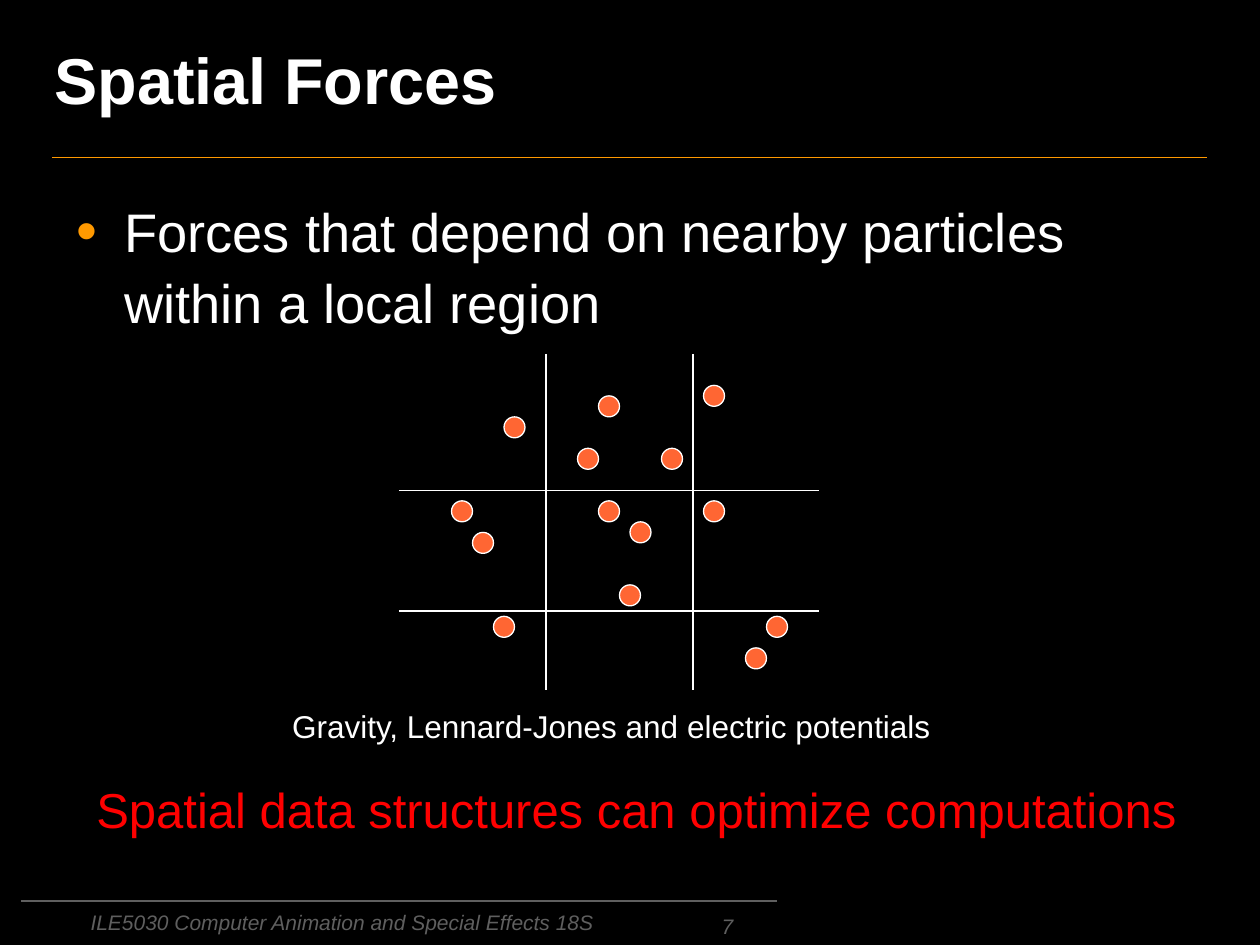
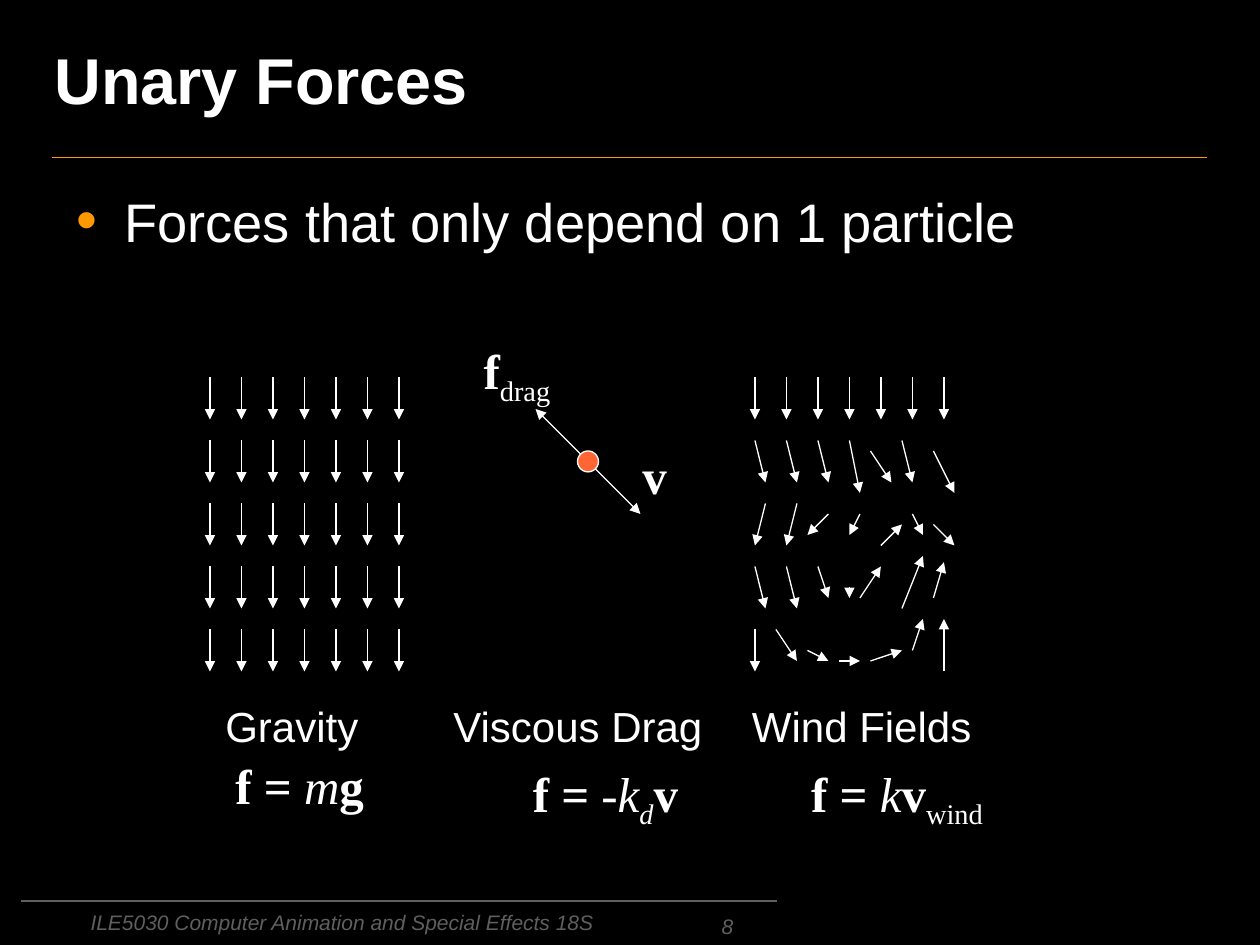
import itertools

import lxml.etree
import pptx
import pptx.dml.color
import pptx.enum.shapes
import pptx.enum.text
import pptx.oxml.ns
import pptx.util

COLORS = {
    "background": "000000",
    "text": "FFFFFF",
    "accent": "FF9900",
    "footer": "5F5F5F",
    "particle": "FF6633",
    "warning": "FF0000",
    "title_shadow": "993399",
}
COLUMNS, ROWS = 120, 90
SANS, SERIF = "Arial", "Times New Roman"
COURSE = "ILE5030 Computer Animation and Special Effects 18S"

PARTICLES = [
    (20, 15), (11, 7), (8, 18), (26, 10), (20, 5), (18, 10), (23, 17),
    (30, 15), (30, 4), (6, 15), (10, 26), (22, 23), (34, 29), (36, 26),
]
SWIRLS = [
    (0, 6, 1, 10), (3, 6, 4, 10), (6, 6, 7, 10), (9, 6, 10, 11),
    (11, 7, 13, 10), (14, 6, 15, 10), (17, 7, 19, 11),
    (1, 12, 0, 16), (4, 12, 3, 16), (7, 13, 5, 15), (10, 13, 9, 15),
    (12, 16, 14, 14), (15, 13, 16, 15), (17, 14, 19, 16),
    (0, 18, 1, 22), (3, 18, 4, 22), (6, 18, 7, 21), (9, 20, 9, 21),
    (10, 21, 12, 18), (14, 22, 16, 17), (17, 21, 18, 17.6),
    (0, 24, 0, 28), (2, 24, 4, 27), (5, 26, 7, 27), (8, 27, 10, 27),
    (11, 27, 14, 26), (15, 26, 16, 23), (18, 28, 18, 23),
]


def color(name):
    """Return the named colour as an RGB value."""
    return pptx.dml.color.RGBColor.from_string(COLORS[name])


def add_element(parent, tag, **attributes):
    """Append an XML element with the given attributes."""
    return lxml.etree.SubElement(parent, pptx.oxml.ns.qn(tag), attributes)


class Deck:
    """Hold the style and the current slide of the lecture."""

    def __init__(self):
        """Open a presentation with a dark master."""
        self.presentation = pptx.Presentation()
        self.presentation.slide_width = pptx.util.Inches(10)
        self.presentation.slide_height = pptx.util.Inches(7.5)
        fill = self.presentation.slide_master.background.fill
        fill.solid()
        fill.fore_color.rgb = color("background")
        self.slide = None

    def x(self, columns):
        """Convert grid columns to a length."""
        return round(self.presentation.slide_width * columns / COLUMNS)

    def y(self, rows):
        """Convert grid rows to a length."""
        return round(self.presentation.slide_height * rows / ROWS)

    def box(self, left, top, width, height):
        """Convert a grid rectangle to lengths."""
        return self.x(left), self.y(top), self.x(width), self.y(height)

    def format_run(self, run, size, name="text", font=SANS, style=""):
        """Style a run; b is bold, i italic and s subscript."""
        run.font.size = pptx.util.Pt(size)
        run.font.name = font
        run.font.color.rgb = color(name)
        run.font.bold = "b" in style
        run.font.italic = "i" in style
        if "s" in style:
            run.font._element.set("baseline", "-25000")

    def text(self, place, words, size, name="text", style="", wrap=True):
        """Add a text box with one plain paragraph."""
        shape = self.slide.shapes.add_textbox(*self.box(*place))
        frame = shape.text_frame
        frame.text = words
        frame.word_wrap = wrap
        if not wrap:
            frame.auto_size = pptx.enum.text.MSO_AUTO_SIZE.SHAPE_TO_FIT_TEXT
        self.format_run(frame.paragraphs[0].runs[0], size, name, style=style)
        return frame

    def formula(self, place, *parts):
        """Add a serif formula made of (text, style) parts."""
        shape = self.slide.shapes.add_textbox(*self.box(*place))
        frame = shape.text_frame
        frame.word_wrap = False
        frame.auto_size = pptx.enum.text.MSO_AUTO_SIZE.SHAPE_TO_FIT_TEXT
        for words, style in parts:
            run = frame.paragraphs[0].add_run()
            run.text = words
            self.format_run(run, 28, font=SERIF, style=style)

    def line(self, start, end, name="text", width=0.75, arrow=False):
        """Add a straight line between two grid points."""
        connector = self.slide.shapes.add_connector(
            pptx.enum.shapes.MSO_CONNECTOR.STRAIGHT,
            self.x(start[0]), self.y(start[1]), self.x(end[0]), self.y(end[1]))
        connector.line.color.rgb = color(name)
        connector.line.width = pptx.util.Pt(width)
        properties = connector._element.spPr
        if arrow:
            outline = properties.find(pptx.oxml.ns.qn("a:ln"))
            add_element(outline, "a:tailEnd", type="triangle")
        add_element(properties, "a:effectLst")

    def arrow(self, start, end):
        """Add a thin arrow that points at its end."""
        self.line(start, end, arrow=True)

    def particle(self, column, row):
        """Add a particle centred on a grid point."""
        shape = self.slide.shapes.add_shape(
            pptx.enum.shapes.MSO_SHAPE.OVAL,
            *self.box(column - 1, row - 1, 2, 2))
        shape.shadow.inherit = False
        shape.fill.solid()
        shape.fill.fore_color.rgb = color("particle")
        shape.line.color.rgb = color("text")
        shape.line.width = pptx.util.Pt(0.75)

    def title(self, words):
        """Place the title and give its letters a hard shadow."""
        shape = self.slide.shapes.title
        shape.left, shape.top, shape.width, shape.height = self.box(4, 0, 88, 15)
        frame = shape.text_frame
        frame.text = words
        frame.vertical_anchor = pptx.enum.text.MSO_ANCHOR.MIDDLE
        paragraph = frame.paragraphs[0]
        paragraph.alignment = pptx.enum.text.PP_ALIGN.LEFT
        run = paragraph.runs[0]
        self.format_run(run, 37, style="b")
        properties = run.font._element
        effects = add_element(properties, "a:effectLst")
        shadow = add_element(effects, "a:outerShdw", dist="35921", dir="2700000")
        add_element(shadow, "a:srgbClr", val=COLORS["title_shadow"])
        properties.find(pptx.oxml.ns.qn("a:solidFill")).addnext(effects)

    def bullet(self, top, words):
        """Add the bulleted statement under the title."""
        paragraph = self.text((6.12, top, 108, 82.8 - top), words, 31).paragraphs[0]
        paragraph.line_spacing = 1.1
        paragraph.space_before = paragraph.space_after = pptx.util.Pt(6)
        properties = paragraph._p.get_or_add_pPr()
        indent = pptx.util.Inches(0.38)
        properties.set("marL", str(indent))
        properties.set("indent", str(-indent))
        tint = add_element(properties, "a:buClr")
        add_element(tint, "a:srgbClr", val=COLORS["accent"])
        add_element(properties, "a:buSzPct", val="110000")
        add_element(properties, "a:buFont", typeface=SANS)
        add_element(properties, "a:buChar", char="•")

    def start_slide(self, words, number):
        """Begin a slide with its title, rules and footer."""
        layout = self.presentation.slide_layouts[5]
        self.slide = self.presentation.slides.add_slide(layout)
        self.line((5, 15), (115, 15), "accent", 1)
        self.line((2, 85.8), (74, 85.8), "footer", 1)
        self.text((7.44, 86, 59.6, 4), COURSE, 12, "footer", "i")
        frame = self.text((43, 86.76, 28, 3.24), str(number), 12, "footer", "i")
        frame.vertical_anchor = pptx.enum.text.MSO_ANCHOR.BOTTOM
        frame.paragraphs[0].alignment = pptx.enum.text.PP_ALIGN.RIGHT
        self.title(words)


def build_spatial_forces(deck):
    """Build the slide about forces within a local region."""
    deck.start_slide("Spatial Forces", 7)
    deck.bullet(17.64, "Forces that depend on nearby particles within a local region")
    deck.text((26.64, 66.72, 63.36, 4.8),
              "Gravity, Lennard-Jones and electric potentials", 18, wrap=False)
    left, top, width, height = 38, 33.7, 40, 32
    for column, row in PARTICLES:
        deck.particle(left + column, top + row)
    for column in (14, 28):
        deck.line((left + column, top), (left + column, top + height))
    for row in (13, 24.5):
        deck.line((left, top + row), (left + width, top + row))
    deck.text((8, 73.68, 106, 6.84),
              "Spatial data structures can optimize computations", 28, "warning")


def build_unary_forces(deck):
    """Build the slide about forces on one particle."""
    deck.start_slide("Unary Forces", 8)
    deck.bullet(16.68, "Forces that only depend on 1 particle")
    for left, width, words in [(20.28, 15.12, "Gravity"),
                               (42, 26.28, "Viscous Drag"),
                               (70.44, 23.28, "Wind Fields")]:
        deck.text((left, 66.12, width, 6), words, 24, wrap=False)

    top = 35.95
    for row, column in itertools.product(range(5), range(7)):
        start = 20 + 3 * column, top + 6 * row
        deck.arrow(start, (start[0], start[1] + 4))

    calm = [(3 * column, 0, 3 * column, 4) for column in range(7)]
    for x1, y1, x2, y2 in calm + SWIRLS:
        deck.arrow((71.9 + x1, top + y1), (71.9 + x2, top + y2))

    center = 56, 43.95
    for reach in (5, -5):
        deck.arrow(center, (center[0] + reach, center[1] + reach))
    deck.particle(*center)

    deck.formula((44.88, 31.8, 9.6, 6.84), ("f", "b"), ("drag", "s"))
    deck.formula((60, 41.88, 4.8, 6.84), ("v", "b"))
    deck.formula((21.24, 71.4, 14.64, 6.84), ("f = ", "b"), ("m", "i"), ("g", "b"))
    deck.formula((76.08, 72.12, 19.68, 6.84),
                 ("f = ", "b"), ("k", "i"), ("v", "b"), ("wind", "s"))
    deck.formula((49.56, 72.12, 16.56, 6.84),
                 ("f = ", "b"), ("-", ""), ("k", "i"), ("d", "is"), ("v", "b"))


def main():
    """Build and save both slides."""
    deck = Deck()
    build_spatial_forces(deck)
    build_unary_forces(deck)
    deck.presentation.save("out.pptx")


if __name__ == "__main__":
    main()
